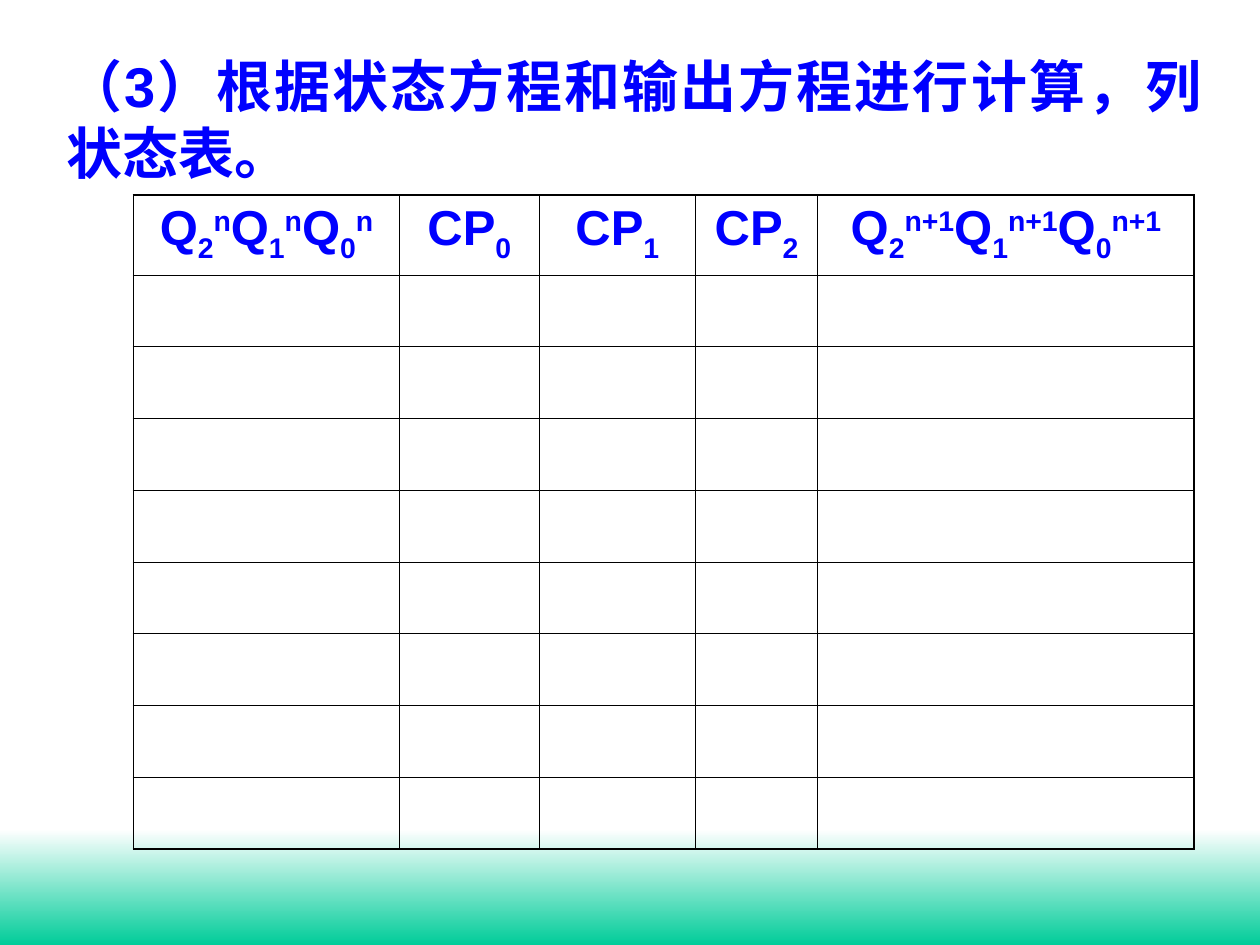
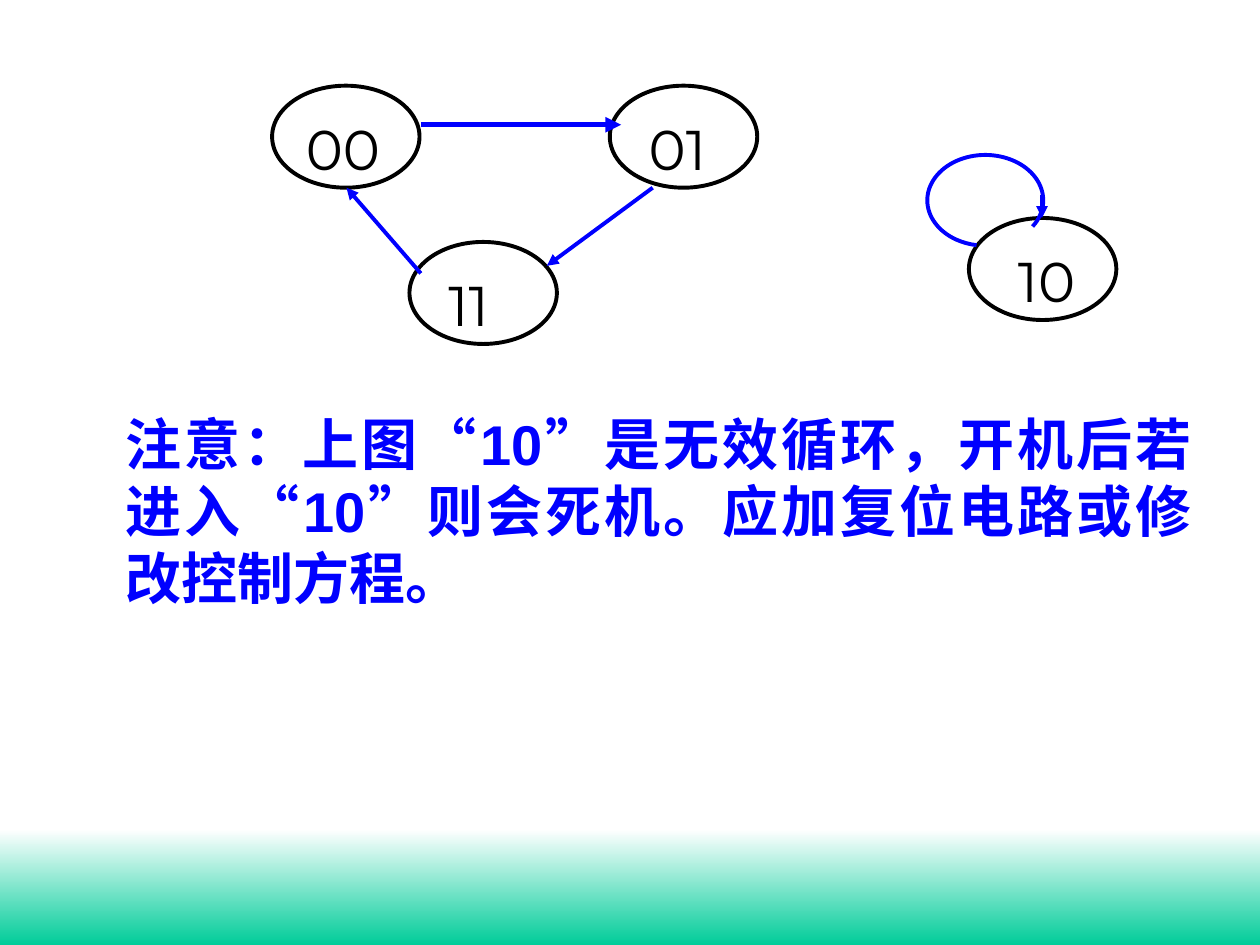
from dataclasses import dataclass
from lxml.etree import SubElement
from pptx import Presentation
from pptx.dml.color import RGBColor
from pptx.enum.shapes import MSO_CONNECTOR, MSO_SHAPE
from pptx.enum.text import PP_ALIGN
from pptx.oxml.ns import qn
from pptx.util import Inches, Pt


@dataclass(frozen=True)
class Theme:
    ink: str = "000000"
    accent: str = "0000FF"
    paper: str = "FFFFFF"
    green: str = "00CC99"
    text_font: str = "Arial"
    state_font: str = "Montserrat"
    body_size: int = 32
    head_size: int = 28
    outline: float = 2.25
    thin: float = 0.45
    thick: float = 1.08


T = Theme()
W, H = 10, 7.5
BAND_H = 0.92

# Content
TITLE = "（3）根据状态方程和输出方程进行计算，列状态表。"
NOTE = ("注意：上图“10”是无效循环，开机后若进入“10”则会死机。"
        "应加复位电路或修改控制方程。")


def state_head(power):
    """Q2 Q1 Q0 with the given superscript, as (text, baseline %) runs."""
    return [run for bit in "210" for run in (("Q", 0), (bit, -25), (power, 30))]


HEADERS = [state_head("n"),
           *([("CP", 0), (bit, -25)] for bit in "012"),
           state_head("n+1")]
COL_W = [2.11, 1.11, 1.24, 0.97, 2.99]
HEAD_H, ROW_H, BLANK_ROWS = 0.63, 0.57, 8
TABLE_AT = (1.06, 1.55)

# State name: (ellipse left, ellipse top, label left, label width)
STATES = {"01": (4.84, 0.68, 5.05, 0.71), "00": (2.16, 0.68, 2.33, 0.84),
          "11": (3.25, 1.92, 3.46, 0.71), "10": (7.69, 1.73, 7.98, 0.71)}
STATE_SIZE = (1.17, 0.81)
LABEL_DROP, LABEL_H = 0.18, 0.64
# Start, end, width
ARROWS = [((3.34, 0.99), (4.93, 0.99), 3),
          ((5.18, 1.49), (4.34, 2.11), T.outline),
          ((3.34, 2.17), (2.75, 1.49), T.outline),
          ((8.27, 1.55), (8.27, 1.73), T.outline)]
LOOP_AT = (7.36, 1.23, 0.92, 0.72)
LOOP_ANGLES = (101, 29)


def rgb(code):
    return RGBColor.from_string(code)


def box(*lengths):
    return [Inches(v) for v in lengths]


def style(p, size, font, color, bold=False):
    for r in p.runs:
        r.font.size, r.font.name, r.font.bold = Pt(size), font, bold
        r.font.color.rgb = rgb(color)


def new_slide(prs):
    s = prs.slides.add_slide(prs.slide_layouts[6])
    s.background.fill.solid()
    s.background.fill.fore_color.rgb = rgb(T.paper)
    # Footer band
    band = s.shapes.add_shape(MSO_SHAPE.RECTANGLE, *box(0, H - BAND_H, W, BAND_H))
    band.shadow.inherit = False
    band.line.fill.background()
    band.fill.gradient()
    band.fill.gradient_angle = 270
    for stop, color in zip(band.fill.gradient_stops, (T.paper, T.green)):
        stop.color.rgb = rgb(color)
    return s


def add_text(s, at, text, font, color, bold=False, align=PP_ALIGN.LEFT, wrap=True):
    tf = s.shapes.add_textbox(*box(*at)).text_frame
    tf.word_wrap = wrap
    tf.text = text
    p = tf.paragraphs[0]
    p.alignment = align
    style(p, T.body_size, font, color, bold)


def add_body(s, at, text):
    add_text(s, at, text, T.text_font, T.accent, True, PP_ALIGN.JUSTIFY)


def border(cell, sides):
    tcPr = cell._tc.get_or_add_tcPr()
    for i, (side, width) in enumerate(sides.items()):
        ln = SubElement(tcPr, qn(f"a:ln{side}"), w=str(Pt(width)))
        fill = SubElement(ln, qn("a:solidFill"))
        SubElement(fill, qn("a:srgbClr"), val=T.ink)
        tcPr.insert(i, ln)


def add_state_table(s):
    rows, cols = BLANK_ROWS + 1, len(COL_W)
    heights = [HEAD_H] + [ROW_H] * BLANK_ROWS
    table = s.shapes.add_table(
        rows, cols, *box(*TABLE_AT, sum(COL_W), sum(heights))).table
    table.first_row = table.horz_banding = False
    for col, width in zip(table.columns, COL_W):
        col.width = Inches(width)
    for row, height in zip(table.rows, heights):
        row.height = Inches(height)
    # Outer edges are thicker than the inner grid
    for i in range(rows):
        for j in range(cols):
            cell = table.cell(i, j)
            cell.fill.background()
            edges = {"L": j == 0, "R": j == cols - 1, "T": i == 0, "B": i == rows - 1}
            border(cell, {k: T.thick if outer else T.thin for k, outer in edges.items()})
    # Header row
    for j, runs in enumerate(HEADERS):
        p = table.cell(0, j).text_frame.paragraphs[0]
        p.alignment = PP_ALIGN.CENTER
        for text, base in runs:
            r = p.add_run()
            r.text = text
            if base:
                r._r.get_or_add_rPr().set("baseline", str(base * 1000))
        style(p, T.head_size, T.text_font, T.accent, True)


def add_outline(s, kind, at, color):
    sp = s.shapes.add_shape(kind, *box(*at))
    sp.shadow.inherit = False
    sp.fill.background()
    sp.line.color.rgb = rgb(color)
    sp.line.width = Pt(T.outline)
    return sp


def add_arrow(s, start, end, width):
    c = s.shapes.add_connector(MSO_CONNECTOR.STRAIGHT, *box(*start, *end))
    c.line.color.rgb = rgb(T.accent)
    c.line.width = Pt(width)
    SubElement(c.line._get_or_add_ln(), qn("a:tailEnd"), type="triangle")
    SubElement(c._element.spPr, qn("a:effectLst"))


def add_state_diagram(s):
    for left, top, *_ in STATES.values():
        add_outline(s, MSO_SHAPE.OVAL, (left, top, *STATE_SIZE), T.ink)
    for name, (_, top, left, width) in STATES.items():
        add_text(s, (left, top + LABEL_DROP, width, LABEL_H), name,
                 T.state_font, T.ink, wrap=False)
    # Self-loop of the invalid state; arc angles are in 60000ths of a degree
    loop = add_outline(s, MSO_SHAPE.ARC, LOOP_AT, T.accent)
    for i, angle in enumerate(LOOP_ANGLES):
        loop.adjustments[i] = angle * 0.6
    for arrow in ARROWS:
        add_arrow(s, *arrow)


def main():
    prs = Presentation()
    prs.slide_width, prs.slide_height = box(W, H)

    # Slide 1: state table
    s = new_slide(prs)
    add_body(s, (0.43, 0.36, 9.21, 6.22), TITLE)
    add_state_table(s)

    # Slide 2: state diagram and warning
    s = new_slide(prs)
    add_body(s, (0.9, 3.2, 8.66, 1.97), NOTE)
    add_state_diagram(s)

    prs.save("out.pptx")


if __name__ == "__main__":
    main()
